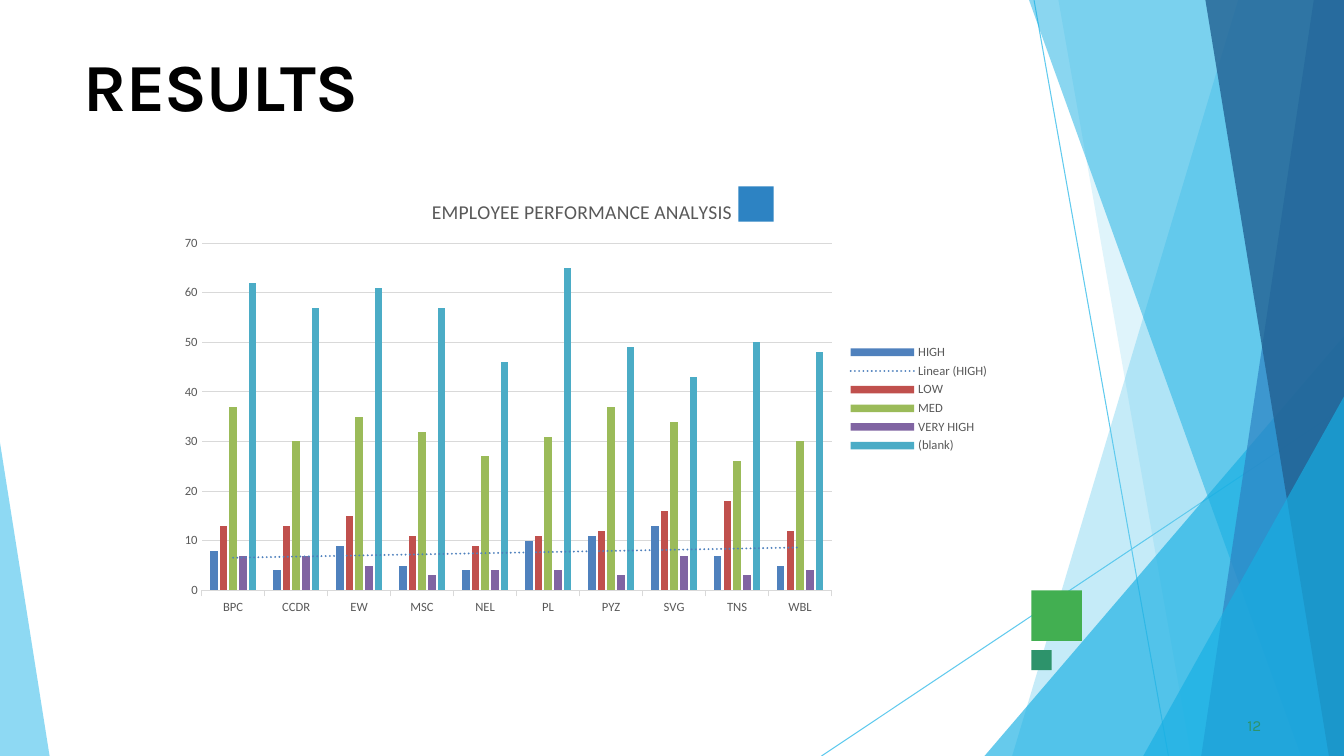
from lxml import etree
from pptx import Presentation, util as u
from pptx.chart.data import CategoryChartData
from pptx.dml.color import RGBColor
from pptx.enum import chart as ch, dml, shapes, text
from pptx.oxml import parse_xml
from pptx.oxml.ns import nsdecls, qn

WIDTH, HEIGHT = u.Inches(13.33), u.Inches(7.5)
COLUMNS, ROWS = 160, 90
COLORS = {
    "sky": "5FCAEE", "cyan": "17AFE3", "blue": "2D83C3", "navy": "226192",
    "green": "42AF51", "teal": "2D936B", "black": "000000",
    "label": "595959", "grid": "D9D9D9",
}
RAYS = [(123.1, 0, 139.1, 90), (160, 48.5, 97.8, 90)]
FACETS = [
    (160, 147.4, 0, 120.5, "sky", 36),
    (160, 126, 0, 141.8, "sky", 20),
    (160, 160, 40, 117.2, "cyan", 66),
    (160, 122.5, 0, 154.9, "cyan", 50),
    (160, 156.4, 0, 143, "blue", 70),
    (160, 143.5, 0, 158.2, "navy", 80),
    (160, 160, 47.2, 136.1, "cyan", 66),
    (0, 0, 52.7, 5.9, "sky", 70),
]
SQUARES = [(122.8, 70.3, 6, "green"), (87.9, 22.2, 4.2, "blue"),
           (122.8, 77.4, 2.4, "teal")]
UNITS = ["BPC", "CCDR", "EW", "MSC", "NEL", "PL", "PYZ", "SVG", "TNS", "WBL"]
RATINGS = {
    "HIGH": ("4F81BD", [8, 4, 9, 5, 4, 10, 11, 13, 7, 5]),
    "LOW": ("C0504D", [13, 13, 15, 11, 9, 11, 12, 16, 18, 12]),
    "MED": ("9BBB59", [37, 30, 35, 32, 27, 31, 37, 34, 26, 30]),
    "VERY HIGH": ("8064A2", [7, 7, 5, 3, 4, 4, 3, 7, 3, 4]),
    "(blank)": ("4BACC6", [62, 57, 61, 57, 46, 65, 49, 43, 50, 48]),
}


def across(columns):
    return round(WIDTH * columns / COLUMNS)


def down(rows):
    return round(HEIGHT * rows / ROWS)


def place(left, top, width, height):
    return across(left), down(top), across(width), down(height)


def rgb(name):
    return RGBColor.from_string(COLORS[name])


def style_font(font, size, color, face="Calibri", bold=False):
    font.name, font.size, font.bold = face, u.Pt(size), bold
    font.color.rgb = rgb(color)


def paint(shape, color, opacity=100):
    shape.shadow.inherit = False
    shape.fill.solid()
    shape.fill.fore_color.rgb = rgb(color)
    shape.line.fill.background()
    if opacity < 100:
        tint = shape.fill._xPr.find(".//" + qn("a:srgbClr"))
        etree.SubElement(tint, qn("a:alpha")).set("val", str(opacity * 1000))


def add_ray(slide, x1, y1, x2, y2):
    ray = slide.shapes.add_connector(
        shapes.MSO_CONNECTOR.STRAIGHT, across(x1), down(y1), across(x2), down(y2))
    ray.line.color.rgb = rgb("sky")
    ray.line.width = u.Pt(0.75)
    etree.SubElement(ray._element.spPr, qn("a:effectLst"))


def add_facet(slide, edge, top_x, top_y, bottom_x, color, opacity):
    outline = slide.shapes.build_freeform(across(edge), down(top_y))
    corners = [(top_x, top_y), (bottom_x, ROWS), (edge, ROWS)]
    outline.add_line_segments([(across(x), down(y)) for x, y in corners])
    paint(outline.convert_to_shape(), color, opacity)


def add_square(slide, left, top, side, color):
    square = slide.shapes.add_shape(
        shapes.MSO_SHAPE.RECTANGLE, *place(left, top, side, side))
    paint(square, color)


def write(holder, words, size, color, bold, spacing, indent=0):
    frame = holder.text_frame
    frame.text = words
    frame.word_wrap = True
    frame.auto_size = text.MSO_AUTO_SIZE.NONE
    frame.vertical_anchor = text.MSO_ANCHOR.TOP
    frame.margin_left = u.Inches(indent)
    frame.margin_right = frame.margin_bottom = 0
    frame.margin_top = u.Inches(0.02)
    line = frame.paragraphs[0]
    line.alignment = text.PP_ALIGN.LEFT
    run = line.runs[0]
    style_font(run.font, size, color, "Karla", bold)
    run.font._element.set("spc", str(spacing))


def set_layout(parent, position, **shares):
    for old in parent.findall(qn("c:layout")):
        parent.remove(old)
    layout = etree.Element(qn("c:layout"))
    manual = etree.SubElement(layout, qn("c:manualLayout"))
    if "w" in shares:
        etree.SubElement(manual, qn("c:layoutTarget")).set("val", "inner")
    for side in "xy":
        etree.SubElement(manual, qn(f"c:{side}Mode")).set("val", "edge")
    for side, share in shares.items():
        etree.SubElement(manual, qn(f"c:{side}")).set("val", str(share))
    parent.insert(position, layout)


def add_trend(series):
    color = RATINGS[series.name][0]
    trend = parse_xml(
        f'<c:trendline {nsdecls("c", "a")}><c:name>Linear ({series.name})</c:name>'
        f'<c:spPr><a:ln w="19050" cap="rnd"><a:solidFill><a:srgbClr val="{color}"/>'
        '</a:solidFill><a:prstDash val="sysDot"/></a:ln></c:spPr>'
        '<c:trendlineType val="linear"/><c:dispRSqr val="0"/><c:dispEq val="0"/>'
        '</c:trendline>')
    series._element.find(qn("c:cat")).addprevious(trend)


def style_axes(chart):
    for axis in (chart.category_axis, chart.value_axis):
        style_font(axis.tick_labels.font, 9, "label")
        axis.minor_tick_mark = ch.XL_TICK_MARK.NONE
    units, counts = chart.category_axis, chart.value_axis
    units.major_tick_mark = ch.XL_TICK_MARK.OUTSIDE
    counts.major_tick_mark = ch.XL_TICK_MARK.NONE
    counts.format.line.fill.background()
    counts.minimum_scale, counts.maximum_scale, counts.major_unit = 0, 70, 10
    for line in (units.format.line, counts.major_gridlines.format.line):
        line.color.rgb = rgb("grid")
        line.width = u.Pt(0.75)
        line.dash_style = dml.MSO_LINE.SOLID


def add_performance_chart(slide):
    ratings = CategoryChartData()
    ratings.categories = UNITS
    for name, (_, counts) in RATINGS.items():
        ratings.add_series(name, counts)
    chart = slide.shapes.add_chart(
        ch.XL_CHART_TYPE.COLUMN_CLUSTERED, *place(19, 21, 100, 53), ratings).chart
    style_font(chart.font, 10, "black")
    clear = parse_xml(f'<c:spPr {nsdecls("c", "a")}><a:noFill/>'
                      '<a:ln><a:noFill/></a:ln></c:spPr>')
    chart._chartSpace.find(qn("c:txPr")).addprevious(clear)

    heading = chart.chart_title
    heading.text_frame.text = "EMPLOYEE PERFORMANCE ANALYSIS"
    style_font(heading.text_frame.paragraphs[0].runs[0].font, 14, "label")
    heading.include_in_layout = False
    set_layout(heading._element, 1, x=0.32, y=0.04)
    set_layout(chart._chartSpace.chart.plotArea, 0, x=0.05, y=0.15, w=0.75, h=0.78)

    chart.has_legend = True
    chart.legend.position = ch.XL_LEGEND_POSITION.RIGHT
    chart.legend.include_in_layout = False
    style_font(chart.legend.font, 9, "label")

    bars = chart.plots[0]
    bars.gap_width, bars.overlap, bars.vary_by_categories = 219, -27, False
    for series in bars.series:
        series.format.fill.solid()
        color = RATINGS[series.name][0]
        series.format.fill.fore_color.rgb = RGBColor.from_string(color)
    add_trend(bars.series[0])
    style_axes(chart)


def main():
    deck = Presentation()
    deck.slide_width, deck.slide_height = WIDTH, HEIGHT
    slide = deck.slides.add_slide(deck.slide_layouts[5])
    for ray in RAYS:
        add_ray(slide, *ray)
    for facet in FACETS:
        add_facet(slide, *facet)
    for square in SQUARES:
        add_square(slide, *square)
    title = slide.shapes.title
    title.left, title.top, title.width, title.height = place(10, 5, 47.4, 9.7)
    write(title, "RESULTS", 48, "black", True, -65)
    page = slide.shapes.add_textbox(*place(148, 85, 3, 2.5))
    write(page, "12", 11, "teal", False, 10, indent=0.04)
    add_performance_chart(slide)
    deck.save("out.pptx")


if __name__ == "__main__":
    main()
